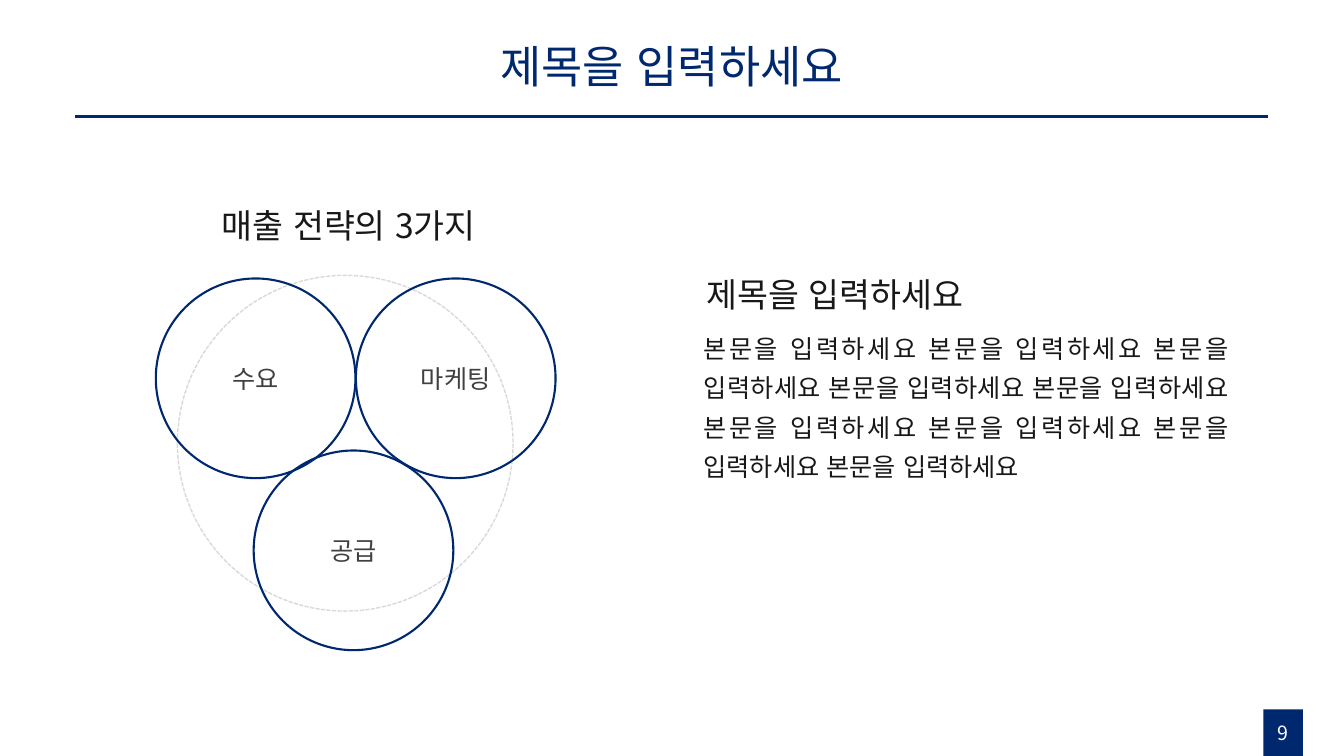
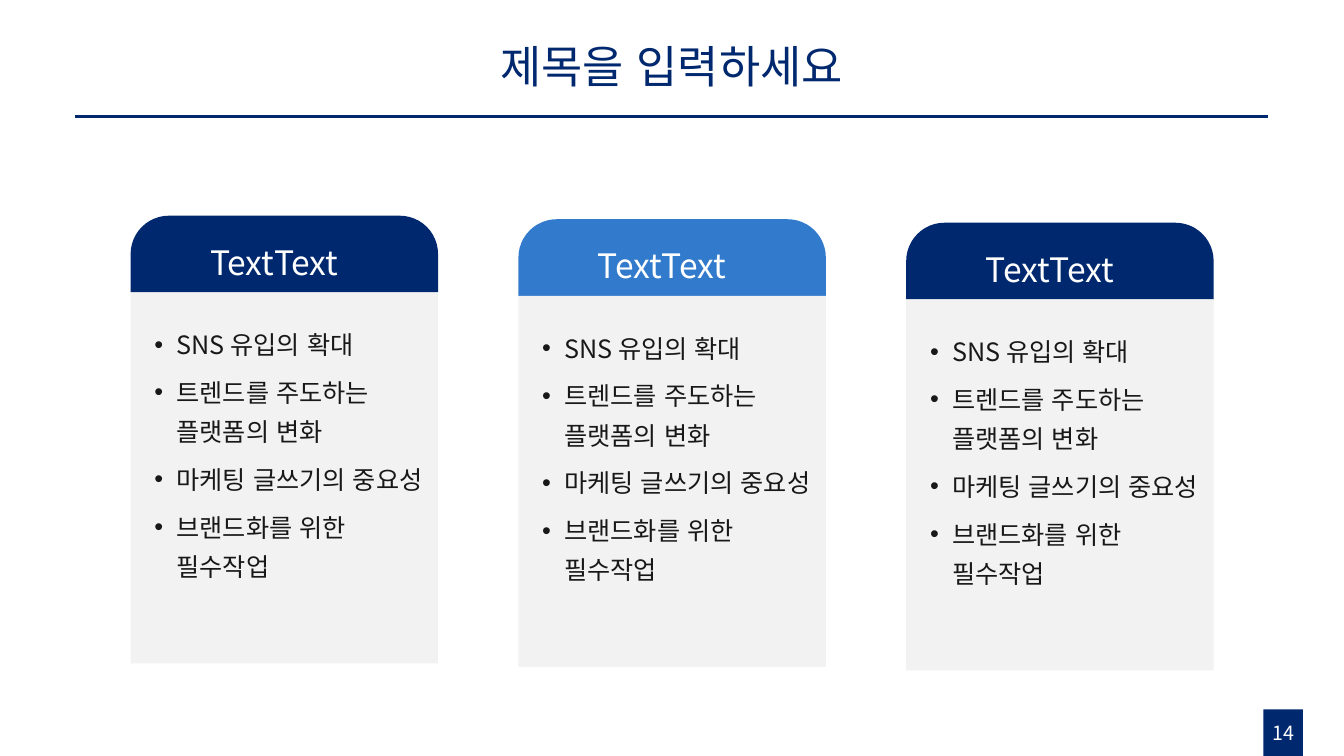
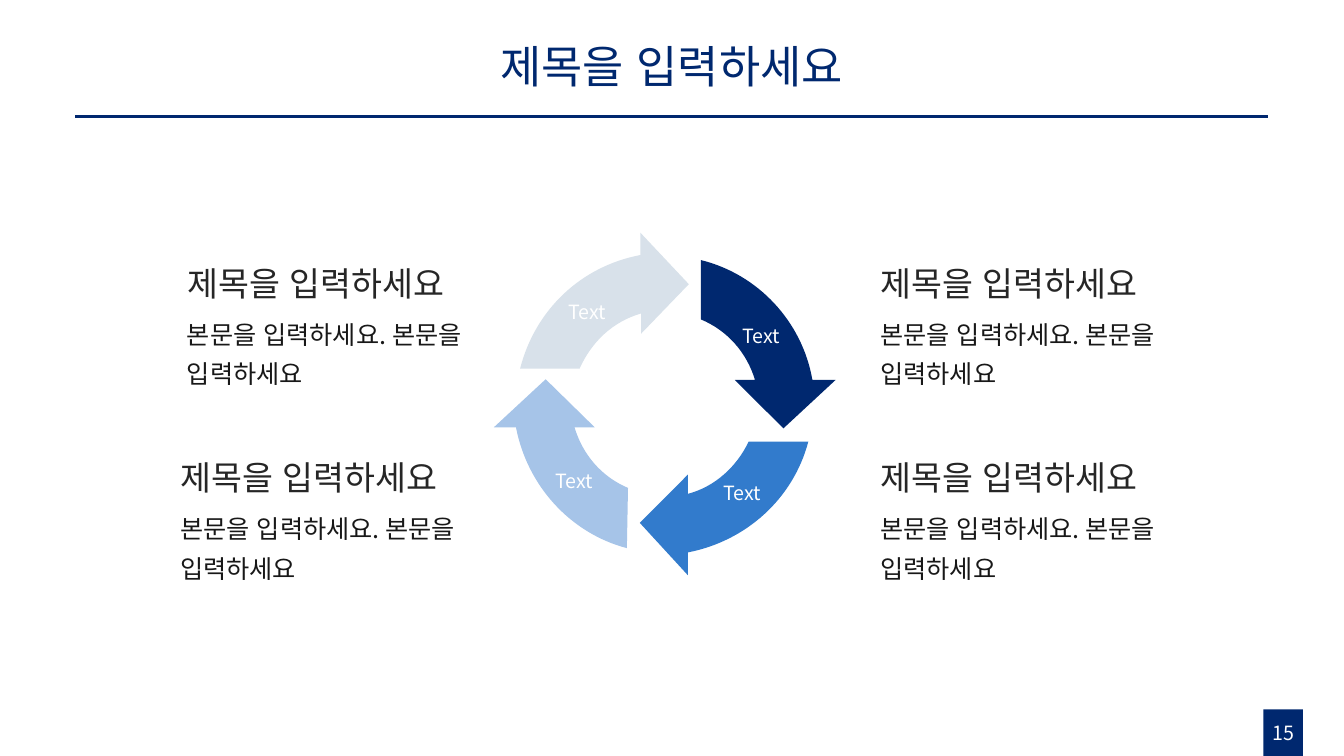
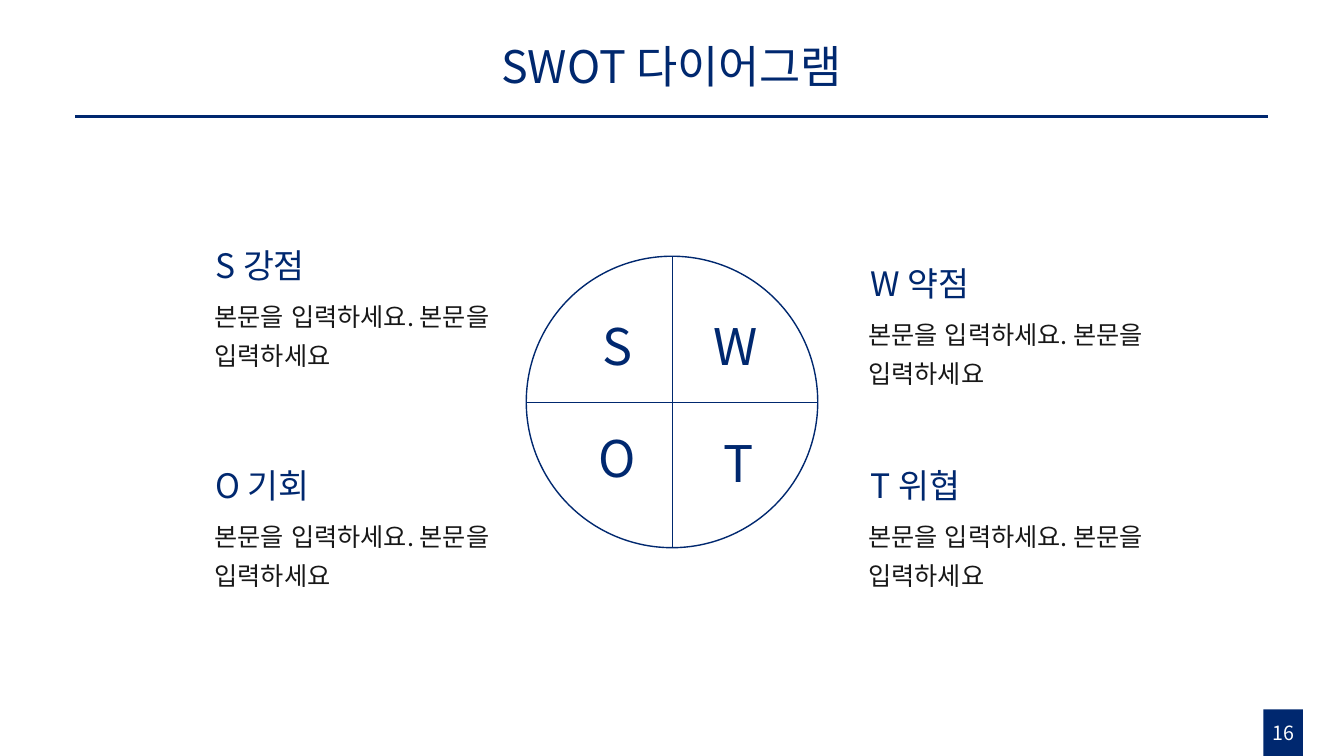
"""Build four diagram slides that share one title, rule and page badge."""
from lxml import etree
from pptx import Presentation
from pptx.dml.color import RGBColor
from pptx.enum.dml import MSO_LINE
from pptx.enum.lang import MSO_LANGUAGE_ID
from pptx.enum.shapes import MSO_CONNECTOR, MSO_SHAPE
from pptx.enum.text import MSO_ANCHOR, PP_ALIGN
from pptx.oxml.ns import qn
from pptx.util import Pt

STRAIGHT = MSO_CONNECTOR.STRAIGHT
OVAL, RECTANGLE = MSO_SHAPE.OVAL, MSO_SHAPE.RECTANGLE
ROUND_TOP = MSO_SHAPE.ROUND_2_SAME_RECTANGLE
LEFT, CENTER, JUSTIFY = PP_ALIGN.LEFT, PP_ALIGN.CENTER, PP_ALIGN.JUSTIFY
TOP, MIDDLE = MSO_ANCHOR.TOP, MSO_ANCHOR.MIDDLE
DASH = MSO_LINE.SQUARE_DOT
KOREAN = MSO_LANGUAGE_ID.KOREAN

FONT = "Noto Sans CJK KR"
NAVY, BLUE, SKY, MIST = "00286F", "327BCC", "A6C4E8", "D8E1EA"
INK, CHARCOAL, GRAY = "181818", "262626", "404040"
SILVER, PANEL, WHITE = "D9D9D9", "F2F2F2", "FFFFFF"

PROMPT = "제목을 입력하세요"
SHORT_BODY = "본문을 입력하세요. 본문을 입력하세요"
LONG_BODY = " ".join(["본문을 입력하세요"] * 9)

STRATEGIES = [("수요", 111.3, 198.9), ("마케팅", 254.2, 198.9), ("공급", 181.2, 321.8)]
STRATEGY_SIZE = 142.6

CARD_COLORS = [NAVY, BLUE, NAVY]
CARD_POINTS = ["SNS 유입의 확대", "트렌드를 주도하는 플랫폼의 변화",
               "마케팅 글쓰기의 중요성", "브랜드화를 위한 필수작업"]

CYCLE_BLOCKS = [(PROMPT, 622.1, 615.3, 176.4), (PROMPT, 622.1, 615.3, 315.2),
                (PROMPT, 126.7, 119.9, 176.4), (PROMPT, 121.7, 115.2, 315.2)]
CYCLE_ARROWS = [
    (NAVY, [(500.7, 185.8), (500.7, 228.2), (519.8, 236.2, 533.5, 252, 539.3, 271.4),
            (524.9, 271.4), (559.6, 306), (596.9, 271.4), (580.3, 271.4),
            (573.1, 229.7, 541.4, 195.8, 500.7, 185.8)]),
    (SKY, [(389.8, 270.9), (352.8, 305.2), (368.6, 305.2),
           (376.6, 347, 407.5, 380.9, 447.8, 391.5), (448.6, 348.5),
           (429.8, 340.6, 416.2, 324.7, 410.4, 305.2), (424.8, 305.2)]),
    (BLUE, [(534.8, 315.4), (526.3, 333.4, 510.5, 347.8, 491.3, 352.8), (491.3, 339.1),
            (457, 373.5), (491.3, 410.8), (491.3, 394.6),
            (532.8, 386.6, 566.6, 356.4, 577.4, 315.4)]),
    (MIST, [(457.4, 166.2), (457.4, 182.2), (415.4, 190.1, 382.3, 221, 371.5, 263.3),
            (414, 263.3), (422.6, 244.1, 437.8, 229.7, 458, 223.9),
            (458, 238.3), (492, 203)]),
]
CYCLE_LABELS = [(509, 227.5), (495.6, 339.8), (375.5, 331.2), (384.9, 210.7)]

SWOT_BLOCKS = [("W 약점", 614.9, 606.7, 176.4), ("T 위협", 614.9, 606.7, 320.4),
               ("O 기회", 146.9, 139.7, 320.4), ("S 강점", 146.9, 139.7, 163.4)]
SWOT_LETTERS = [("S", 402.5, 221.4), ("W", 486.7, 221.4),
                ("O", 402.5, 301.7), ("T", 488.9, 305.3)]


def rgb(value):
    """Turn a hex string into a colour."""
    return RGBColor.from_string(value)


def points(*lengths):
    """Turn numbers into point lengths."""
    return [Pt(length) for length in lengths]


def write(shape, lines, size, color, align=LEFT, anchor=TOP, spacing=1.0,
          after=0, margin=0, hang=0):
    """Fill a shape with styled paragraphs, bulleted when hang is set."""
    frame = shape.text_frame
    frame.word_wrap = True
    frame.vertical_anchor = anchor
    for index, line in enumerate(lines):
        para = frame.add_paragraph() if index else frame.paragraphs[0]
        para.text = line
        para.alignment = align
        para.line_spacing = spacing
        para.space_after = Pt(after)
        properties = para._p.get_or_add_pPr()
        properties.set("marL", str(Pt(margin)))
        properties.set("indent", str(-Pt(hang)))
        if hang:
            etree.SubElement(properties, qn("a:buFont")).set("typeface", "Arial")
            etree.SubElement(properties, qn("a:buChar")).set("char", "•")
        for span in para.runs:
            span.font.name = FONT
            span.font.size = Pt(size)
            span.font.color.rgb = rgb(color)
            span.font.language_id = KOREAN
            east_asian = etree.SubElement(span._r.get_or_add_rPr(), qn("a:ea"))
            east_asian.set("typeface", FONT)


def add_text(page, place, lines, size, color, **style):
    """Add a text box."""
    write(page.shapes.add_textbox(*points(*place)), lines, size, color, **style)


def paint(shape, fill=None, line=None, width=1.0):
    """Set fill and outline, and remove the shadow."""
    shape.shadow.inherit = False
    if fill:
        shape.fill.solid()
        shape.fill.fore_color.rgb = rgb(fill)
    else:
        shape.fill.background()
    if line:
        shape.line.color.rgb = rgb(line)
        shape.line.width = Pt(width)
    else:
        shape.line.fill.background()


def add_shape(page, kind, place, **colors):
    """Add a painted preset shape."""
    shape = page.shapes.add_shape(kind, *points(*place))
    paint(shape, **colors)
    return shape


def add_line(page, ends, width):
    """Add a straight navy line."""
    line = page.shapes.add_connector(STRAIGHT, *points(*ends))
    line.line.color.rgb = rgb(NAVY)
    line.line.width = Pt(width)
    etree.SubElement(line._element.spPr, qn("a:effectLst"))


def add_outline(page, outline, fill):
    """Add a closed freeform; a part of six numbers is a cubic curve."""
    builder = page.shapes.build_freeform(*points(*outline[0]))
    for part in outline[1:]:
        corners = [points(*part[at:at + 2]) for at in range(0, len(part), 2)]
        builder.add_line_segments(corners, close=False)
    builder.add_line_segments([], close=True)
    shape = builder.convert_to_shape()
    paint(shape, fill=fill)
    segments = iter(list(shape._element.iter(qn("a:lnTo"))))
    for part in outline[1:]:
        group = [next(segments) for _ in range(len(part) // 2)]
        if len(group) == 3:
            curve = etree.Element(qn("a:cubicBezTo"))
            group[0].addprevious(curve)
            for segment in group:
                curve.append(segment[0])
                segment.getparent().remove(segment)


def add_page(deck, title, number):
    """Add a slide with title, rule and page badge."""
    page = deck.slides.add_slide(deck.slide_layouts[6])
    add_line(page, (53.7, 83.5, 905.8, 83.5), 2.25)
    add_shape(page, RECTANGLE, (902.4, 506.7, 28.2, 33.3), fill=NAVY)
    add_text(page, (892.4, 511.2, 48.2, 24.5), [str(number)], 14, WHITE, align=CENTER)
    add_text(page, (195.8, 21.6, 568.1, 54.7), [title], 32, NAVY,
             align=CENTER, anchor=MIDDLE, spacing=0.9)
    return page


def add_heading(page, place, text, color, align=LEFT):
    """Add a 24-point heading."""
    add_text(page, place, [text], 24, color, align=align, anchor=MIDDLE, spacing=1.3)


def add_blocks(page, blocks, color):
    """Add headings with a short body under each."""
    for heading, left, body_left, top in blocks:
        add_heading(page, (left, top, 237.6, 43.2), heading, color)
        add_text(page, (body_left, top + 41.8, 240.5, 62.6), [SHORT_BODY], 18, INK,
                 spacing=1.3, after=6, margin=6.5)


def build_strategy(deck):
    """Three touching circles beside a paragraph."""
    page = add_page(deck, PROMPT, 9)
    ring = add_shape(page, OVAL, (126.7, 196.7, 239.8, 239.8), line=SILVER)
    ring.line.dash_style = DASH
    for name, left, top in STRATEGIES:
        circle = add_shape(page, OVAL, (left, top, STRATEGY_SIZE, STRATEGY_SIZE),
                           line=NAVY, width=1.5)
        write(circle, [name], 18, GRAY, align=CENTER, anchor=MIDDLE)
    add_heading(page, (141.5, 135, 215.3, 43.2), "매출 전략의 3가지", INK, CENTER)
    add_text(page, (495.4, 228.2, 389.5, 118.8), [LONG_BODY], 18, INK,
             align=JUSTIFY, spacing=1.3)
    add_heading(page, (497.5, 184.3, 266.4, 43.2), PROMPT, INK)


def build_cards(deck):
    """Three cards stepping slightly downwards."""
    page = add_page(deck, PROMPT, 14)
    for index, color in enumerate(CARD_COLORS):
        left, top = 93.3 + 277 * index, 154.1 + 2.5 * index
        header = add_shape(page, ROUND_TOP, (left, top, 219.6, 54.7), fill=color)
        header.adjustments[0] = 0.5
        add_heading(page, (left + 21.6, top + 7, 162, 43.2), "TextText", WHITE, CENTER)
        add_shape(page, RECTANGLE, (left, top + 54.7, 219.6, 265), fill=PANEL)
        add_text(page, (left + 3.4, top + 71.2, 214, 193.7), CARD_POINTS, 18, INK,
                 spacing=1.3, after=6, margin=22.3, hang=15.8)


def build_cycle(deck):
    """Four arrows in a ring with four text blocks."""
    page = add_page(deck, PROMPT, 15)
    add_blocks(page, CYCLE_BLOCKS, CHARCOAL)
    for color, outline in CYCLE_ARROWS:
        add_outline(page, outline, color)
    for left, top in CYCLE_LABELS:
        add_text(page, (left, top, 69.1, 24.5), ["Text"], 14, WHITE,
                 align=CENTER, anchor=MIDDLE)


def build_swot(deck):
    """A quartered circle with four text blocks."""
    page = add_page(deck, "SWOT 다이어그램", 16)
    add_blocks(page, SWOT_BLOCKS, NAVY)
    left, top, size = 375.9, 183, 208.2
    middle_x, middle_y = left + size / 2, top + size / 2
    add_shape(page, OVAL, (left, top, size, size), line=NAVY)
    add_line(page, (left, middle_y, left + size, middle_y), 0.5)
    add_line(page, (middle_x, top, middle_x, top + size), 0.5)
    for letter, letter_left, letter_top in SWOT_LETTERS:
        add_text(page, (letter_left, letter_top, 77, 51.1), [letter], 36, NAVY, align=CENTER)


def main():
    """Build and save the deck."""
    deck = Presentation()
    deck.slide_width, deck.slide_height = points(960, 540)
    for build in (build_strategy, build_cards, build_cycle, build_swot):
        build(deck)
    deck.save("out.pptx")


if __name__ == "__main__":
    main()
